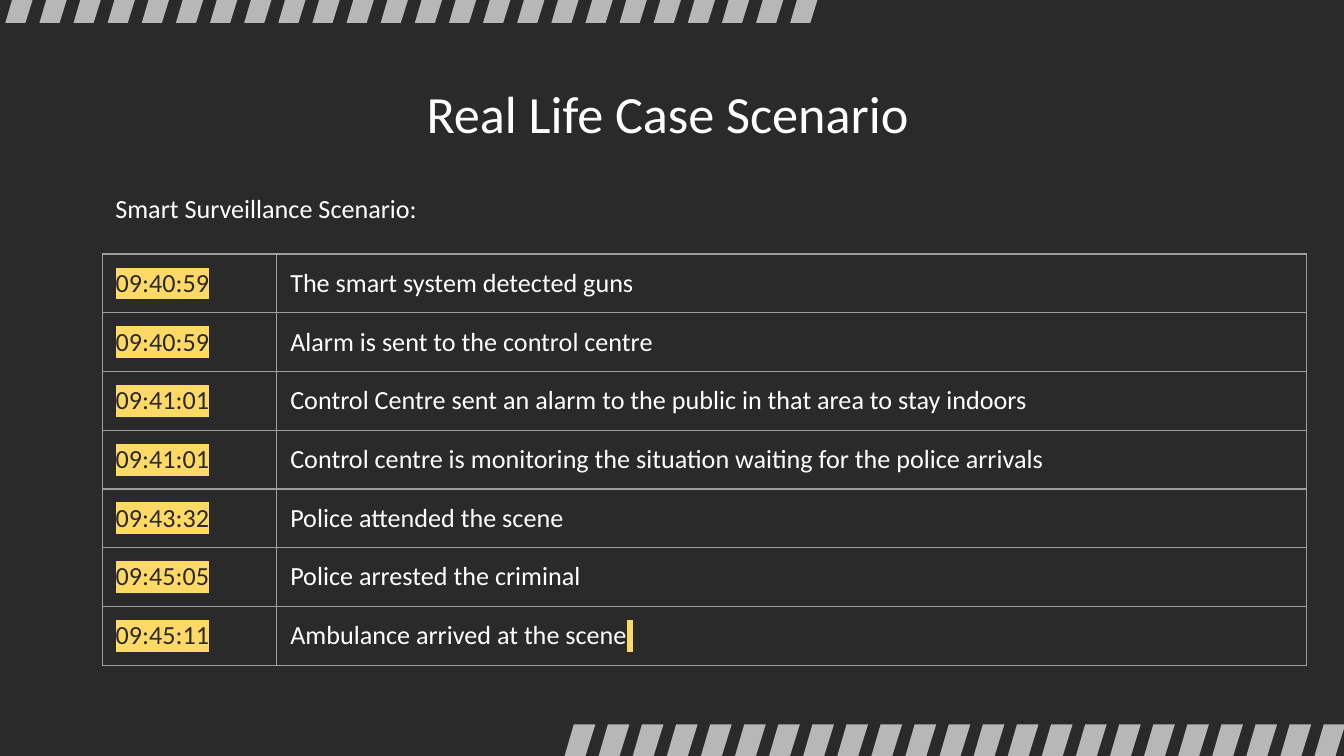
from pptx import Presentation
from pptx.dml.color import RGBColor
from pptx.enum.text import MSO_ANCHOR, PP_ALIGN
from pptx.oxml import parse_xml
from pptx.oxml.ns import nsdecls
from pptx.util import Inches, Pt

DARK, WHITE, GREY, GOLD = "2A2A2A", "FFFFFF", "B7B7B7", "FFD966"
RULE = "9E9E9E"
EVENTS = [
    ("09:40:59", "The smart system detected guns"),
    ("09:40:59", "Alarm is sent to the control centre"),
    ("09:41:01", "Control Centre sent an alarm to the public in that area to stay indoors"),
    ("09:41:01", "Control centre is monitoring the situation waiting for the police arrivals"),
    ("09:43:32", "Police attended the scene"),
    ("09:45:05", "Police arrested the criminal"),
    ("09:45:11", "Ambulance arrived at the scene"),
]


def rgb(code):
    return RGBColor.from_string(code)


def write(frame, text, size=14, color=WHITE, mark=None, align=None):
    """Add a run to the first paragraph, on a highlight if mark is given."""
    frame.margin_left = frame.margin_right = Inches(0.1)
    frame.margin_top = frame.margin_bottom = Inches(0.1)
    par = frame.paragraphs[0]
    if align is not None:
        par.alignment = align
    run = par.add_run()
    run.text = text
    run.font.size = Pt(size)
    run.font.color.rgb = rgb(color)
    if mark:
        run.font._element.append(parse_xml(
            f'<a:highlight {nsdecls("a")}><a:srgbClr val="{mark}"/></a:highlight>'))
    run.font.name = "Calibri"


deck = Presentation()
deck.slide_width = Inches(10)
deck.slide_height = deck.slide_width * 9 // 16
slide = deck.slides.add_slide(deck.slide_layouts[5])
slide.background.fill.solid()
slide.background.fill.fore_color.rgb = rgb(DARK)
shapes = slide.shapes

# Slanted stripes along the top and bottom edges
for first, last, top, count in [(0.04, 5.88, -0.41, 24), (4.1, 9.68, 5.39, 23)]:
    step = (last - first) / (count - 1)
    for i in range(count):
        left = first + i * step
        low = top + 0.58
        pen = shapes.build_freeform(Inches(left + 0.33), Inches(top))
        pen.add_line_segments([
            (Inches(left + 0.17), Inches(top)),
            (Inches(left), Inches(low)),
            (Inches(left + 0.15), Inches(low)),
        ])
        stripe = pen.convert_to_shape()
        stripe.fill.solid()
        stripe.fill.fore_color.rgb = rgb(GREY)
        stripe.line.fill.background()
        stripe.shadow.inherit = False

title = shapes.title
title.left, title.top = Inches(1.18), Inches(0.47)
title.width, title.height = Inches(7.66), Inches(0.74)
title.text_frame.vertical_anchor = MSO_ANCHOR.MIDDLE
write(title.text_frame, "Real Life Case Scenario ", size=28, align=PP_ALIGN.CENTER)

# Timeline table
table = shapes.add_table(len(EVENTS), 2, Inches(0.76), Inches(1.89),
                         Inches(8.96), Inches(3.01)).table
table.first_row = table.horz_banding = False
table.columns[0].width, table.columns[1].width = Inches(1.3), Inches(7.66)
for r, event in enumerate(EVENTS):
    table.rows[r].height = Inches(0.43)
    for c, text in enumerate(event):
        cell = table.cell(r, c)
        cell.margin_left = cell.margin_right = Inches(0.1)
        cell.margin_top = cell.margin_bottom = Inches(0.1)
        cell.fill.background()
        props = cell._tc.get_or_add_tcPr()
        for n, side in enumerate(["lnL", "lnR", "lnT", "lnB"]):
            props.insert(n, parse_xml(
                f'<a:{side} {nsdecls("a")} w="{Pt(0.75)}"><a:solidFill>'
                f'<a:srgbClr val="{RULE}"/></a:solidFill></a:{side}>'))
        if c == 0:
            write(cell.text_frame, text, color=DARK, mark=GOLD)
        else:
            write(cell.text_frame, text)
write(table.cell(len(EVENTS) - 1, 1).text_frame, " ", color=DARK, mark=GOLD)

label = shapes.add_textbox(Inches(0.76), Inches(1.33), Inches(3.44), Inches(0.44))
label.text_frame.word_wrap = True
write(label.text_frame, "Smart Surveillance Scenario:")

deck.save("out.pptx")
